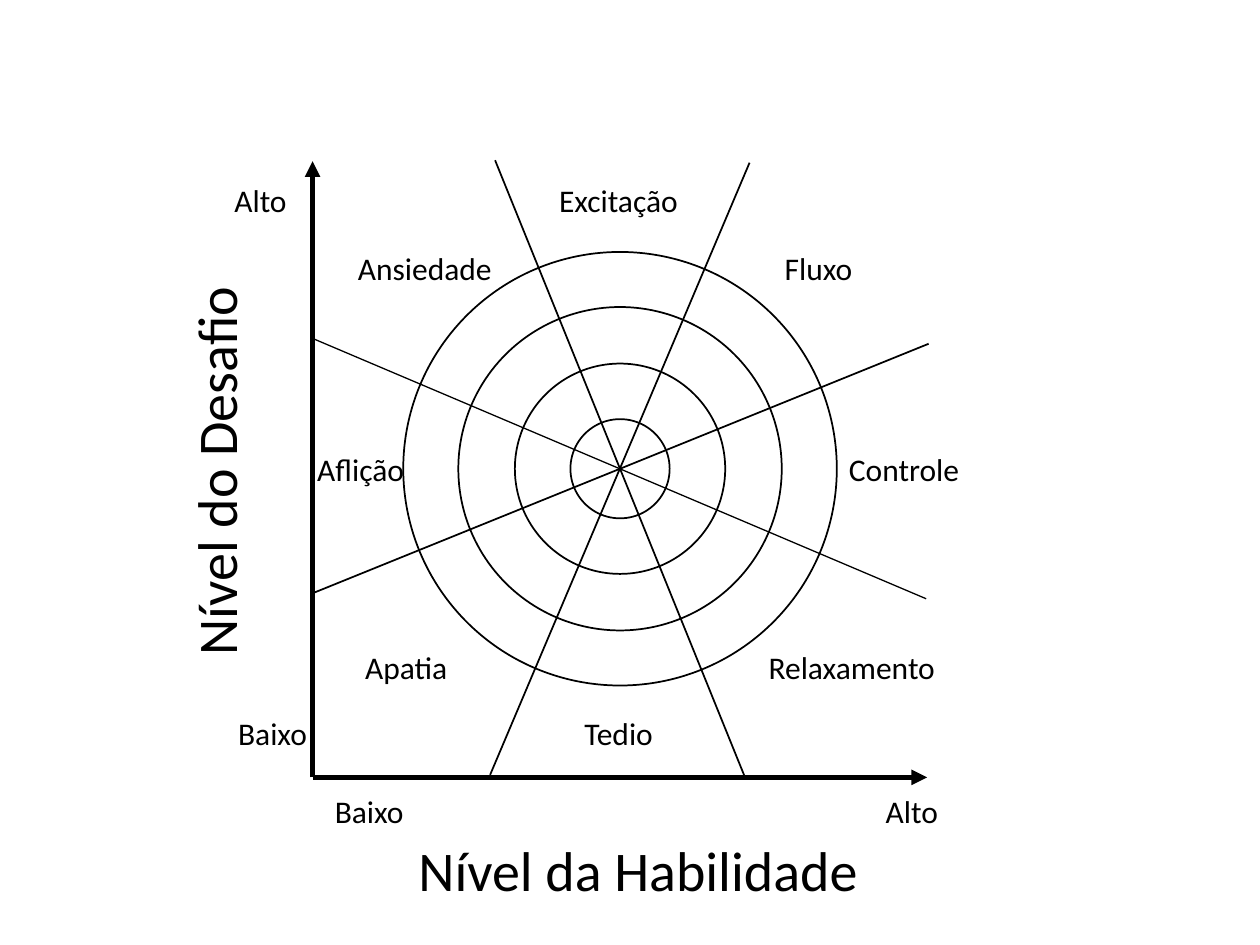
from lxml.etree import SubElement as Sub
from pptx import Presentation
from pptx.dml.color import RGBColor as Rgb
from pptx.enum.shapes import MSO_CONNECTOR as Conn, MSO_SHAPE as Kind
from pptx.enum.text import MSO_AUTO_SIZE as Auto
from pptx.oxml.ns import qn
from pptx.util import Cm, Pt

INK = "000000"
MID = (12.5, 9.45)
LEFT, BASE = 6.3, 15.67
RADII = (4.37, 3.26, 2.12, 1)
SPOKES = [
    (15.11, 3.28, 9.88, 15.62, 1),
    (9.98, 3.23, 15.01, 15.65, 1),
    (6.32, 6.83, 18.67, 12.07, 0.75),
    (18.72, 6.93, 6.3, 11.96, 1),
]
STATES = [
    ("Excitação", 12.48, 4.04, 2.92),
    ("Fluxo", 16.51, 5.41, 1.88),
    ("Controle", 18.25, 9.45, 2.77),
    ("Relaxamento", 17.2, 13.44, 3.91),
    ("Tedio", 12.48, 14.78, 1.9),
    ("Apatia", 8.2, 13.44, 2.18),
    ("Aflição", 7.29, 9.45, 2.29),
    ("Ansiedade", 8.59, 5.41, 3.25),
]
ENDS = [
    ("Alto", 18.39, 16.36, 1.57),
    ("Baixo", 7.45, 16.36, 1.9),
    ("Baixo", 5.5, 14.78, 1.9),
    ("Alto", 5.26, 4.04, 1.57),
]


def paint(fmt, color):
    """Give a fill or font colour from a hex string."""
    fmt.rgb = Rgb.from_string(color)


def stroke(line, width):
    """Set the colour and width of a line."""
    line.fill.solid()
    paint(line.fill.fore_color, INK)
    line.width = Pt(width)


def ring(shapes, radius):
    """Draw an open circle around the middle."""
    x, y = MID
    oval = shapes.add_shape(Kind.OVAL, Cm(x - radius), Cm(y - radius),
                            Cm(2 * radius), Cm(2 * radius))
    oval.shadow.inherit = False
    oval.fill.background()
    stroke(oval.line, 1)


def rule(shapes, x1, y1, x2, y2, width, arrow=False):
    """Draw a straight line, with an arrowhead at its end if asked."""
    link = shapes.add_connector(Conn.STRAIGHT, Cm(x1), Cm(y1), Cm(x2), Cm(y2))
    stroke(link.line, width)
    props = link._element.spPr
    if arrow:
        Sub(props.find(qn("a:ln")), qn("a:tailEnd"), type="triangle")
    Sub(props, qn("a:effectLst"))


def label(shapes, text, x, y, wide, high=1.02, size=18, turn=0):
    """Write one line of text centred on a point."""
    box = shapes.add_textbox(Cm(x - wide / 2), Cm(y - high / 2),
                             Cm(wide), Cm(high))
    box.rotation = turn
    frame = box.text_frame
    frame.word_wrap = False
    frame.auto_size = Auto.SHAPE_TO_FIT_TEXT
    run = frame.paragraphs[0].add_run()
    run.text = text
    run.font.name = "Calibri"
    run.font.size = Pt(size)
    paint(run.font.color, INK)


def main():
    """Build the slide and save it."""
    deck = Presentation()
    deck.slide_width, deck.slide_height = Cm(25.4), Cm(19.05)
    shapes = deck.slides.add_slide(deck.slide_layouts[6]).shapes
    for radius in RADII:
        ring(shapes, radius)
    axes = shapes.add_group_shape().shapes
    for tip in ((LEFT, 3.25), (18.69, BASE)):
        rule(axes, LEFT, BASE, *tip, 3, arrow=True)
    for spoke in SPOKES:
        rule(shapes, *spoke)
    for item in STATES + ENDS:
        label(shapes, *item)
    label(shapes, "Nível da Habilidade", 12.92, 17.53, 9.47, high=1.63, size=32)
    label(shapes, "Nível do Desafio", 4.34, 9.45, 8.03, high=1.63, size=32,
          turn=270)
    deck.save("out.pptx")


main()
